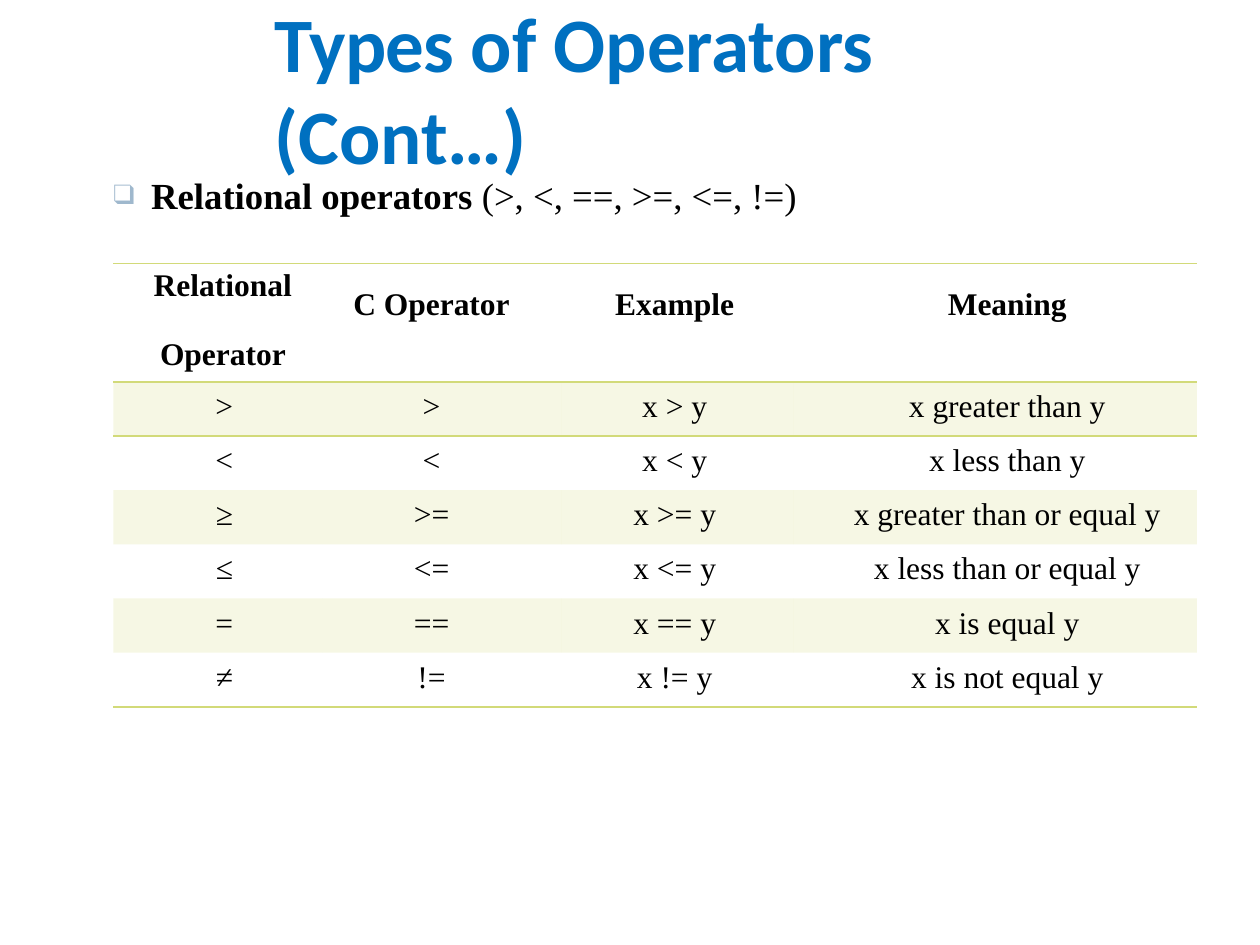
"""Build a slide that lists the relational operators of C in a table."""
from dataclasses import dataclass

from lxml.etree import SubElement
from pptx import Presentation
from pptx.dml.color import RGBColor
from pptx.enum.text import MSO_ANCHOR, PP_ALIGN
from pptx.oxml.ns import qn
from pptx.util import Inches, Pt

BLACK, BLUE, BULLET, GREEN = "000000", "0070C0", "9FB8CD", "D2DA79"
SERIF, SANS = "Times New Roman", "Calibri"
NO_STYLE = "{2D5ABB26-0587-4C30-8999-92F81FD0307C}"


@dataclass
class Column:
    width: float
    header: str
    align: PP_ALIGN = PP_ALIGN.CENTER
    left: float = 0
    right: float = 0


COLUMNS = [
    Column(1.66, "Relational", PP_ALIGN.RIGHT, right=0.71),
    Column(1.9, "C Operator", right=0.17),
    Column(1.84, "Example", right=0.05),
    Column(3.2, "Meaning", left=0.19),
]
ROWS = [
    (">", ">", "x > y", "x greater than y"),
    ("<", "<", "x < y", "x less than y"),
    ("≥", ">=", "x >= y", "x greater than or equal y"),
    ("≤", "<=", "x <= y", "x less than or equal y"),
    ("=", "==", "x == y", "x is equal y"),
    ("≠", "!=", "x != y", "x is not equal y"),
]


def color(value: str) -> RGBColor:
    return RGBColor.from_string(value)


def add_text(p, text: str, *, size=18, font=SERIF, fill=BLACK, bold=False, spacing=0) -> None:
    r = p.add_run()
    r.text = text
    r.font.size, r.font.name, r.font.bold = Pt(size), font, bold
    r.font.color.rgb = color(fill)
    if spacing:
        r.font._element.set("spc", str(round(spacing * 100)))


def set_indent(p, left: float, first: float) -> None:
    pPr = p._p.get_or_add_pPr()
    pPr.set("marL", str(Inches(left)))
    pPr.set("indent", str(Inches(first)))


def add_bullet(p, char: str, fill: str, percent: int) -> None:
    pPr = p._p.get_or_add_pPr()
    clr = SubElement(pPr, qn("a:buClr"))
    SubElement(clr, qn("a:srgbClr"), val=fill)
    SubElement(pPr, qn("a:buSzPct"), val=str(percent * 1000))
    SubElement(pPr, qn("a:buFont"), typeface=SERIF)
    SubElement(pPr, qn("a:buChar"), char=char)


def add_box(s, left: float, top: float, width: float, height: float, anchor=MSO_ANCHOR.TOP):
    tf = s.shapes.add_textbox(Inches(left), Inches(top), Inches(width), Inches(height)).text_frame
    tf.word_wrap, tf.vertical_anchor = True, anchor
    tf.margin_left = tf.margin_right = tf.margin_bottom = 0
    tf.margin_top = Inches(0.01)
    return tf.paragraphs[0]


def add_border(cell, side: str) -> None:
    ln = SubElement(cell._tc.get_or_add_tcPr(), qn(f"a:{side}"), w=str(Pt(1)))
    fill = SubElement(ln, qn("a:solidFill"))
    SubElement(fill, qn("a:srgbClr"), val=GREEN)


def tint(cell, percent: int) -> None:
    cell.fill.solid()
    cell.fill.fore_color.rgb = color(GREEN)
    clr = cell._tc.tcPr.find(f"{qn('a:solidFill')}/{qn('a:srgbClr')}")
    SubElement(clr, qn("a:alpha"), val=str(percent * 1000))


def fill_cell(cell, text: str, column: Column, top: float, bold: bool) -> None:
    cell.margin_left, cell.margin_right = Inches(column.left), Inches(column.right)
    cell.margin_top, cell.margin_bottom = Inches(top), 0
    p = cell.text_frame.paragraphs[0]
    p.alignment, p.space_before = column.align, Pt(top * 72)
    add_text(p, text, bold=bold)


def wrap_header(cell, second_line: str) -> None:
    cell.margin_right = 0
    p = cell.text_frame.add_paragraph()
    p.space_before = Pt(19.5)
    add_text(p, second_line, bold=True)
    for p, left in zip(cell.text_frame.paragraphs, (0.32, 0.37)):
        p.alignment = PP_ALIGN.LEFT
        set_indent(p, left, 0)


def add_operator_table(s) -> None:
    width = sum(c.width for c in COLUMNS)
    frame = s.shapes.add_table(len(ROWS) + 1, len(COLUMNS), Inches(0.9), Inches(2.09),
                               Inches(width), Inches(3.5))
    table = frame.table
    table.first_row = table.horz_banding = False
    table._tbl.tblPr.find(qn("a:tableStyleId")).text = NO_STYLE
    for i, row in enumerate(table.rows):
        row.height = Inches(0.43 if i else 0.94)
    headers = tuple(c.header for c in COLUMNS)
    for j, column in enumerate(COLUMNS):
        table.columns[j].width = Inches(column.width)
        for i, texts in enumerate([headers, *ROWS]):
            cell = table.cell(i, j)
            top = 0.06 if i else 0.19 if j else 0.04
            fill_cell(cell, texts[j], column, top, bold=i == 0)
            if i < 2:
                add_border(cell, "lnT")
            if i in (0, 1, len(ROWS)):
                add_border(cell, "lnB")
            if i % 2:
                tint(cell, 20)
            else:
                cell.fill.background()
    wrap_header(table.cell(0, 0), "Operator")


def main() -> None:
    prs = Presentation()
    prs.slide_width, prs.slide_height = Inches(10), Inches(7.5)
    s = prs.slides.add_slide(prs.slide_layouts[6])

    p = add_box(s, 0.89, 1.36, 5.46, 0.38)
    set_indent(p, 0.31, -0.3)
    add_bullet(p, "❑", BULLET, 76)
    add_text(p, "Relational operators ", size=21, bold=True)
    add_text(p, "(>, <, ==, >=, <=, !=)", size=21)

    add_operator_table(s)

    p = add_box(s, 2.16, 0.31, 6.76, 0.76, MSO_ANCHOR.MIDDLE)
    set_indent(p, 0.02, 0)
    add_text(p, "Types ", size=44, font=SANS, fill=BLUE, bold=True, spacing=-0.5)
    add_text(p, "of Operators (Cont…)", size=44, font=SANS, fill=BLUE, bold=True)

    prs.save("out.pptx")


if __name__ == "__main__":
    main()
